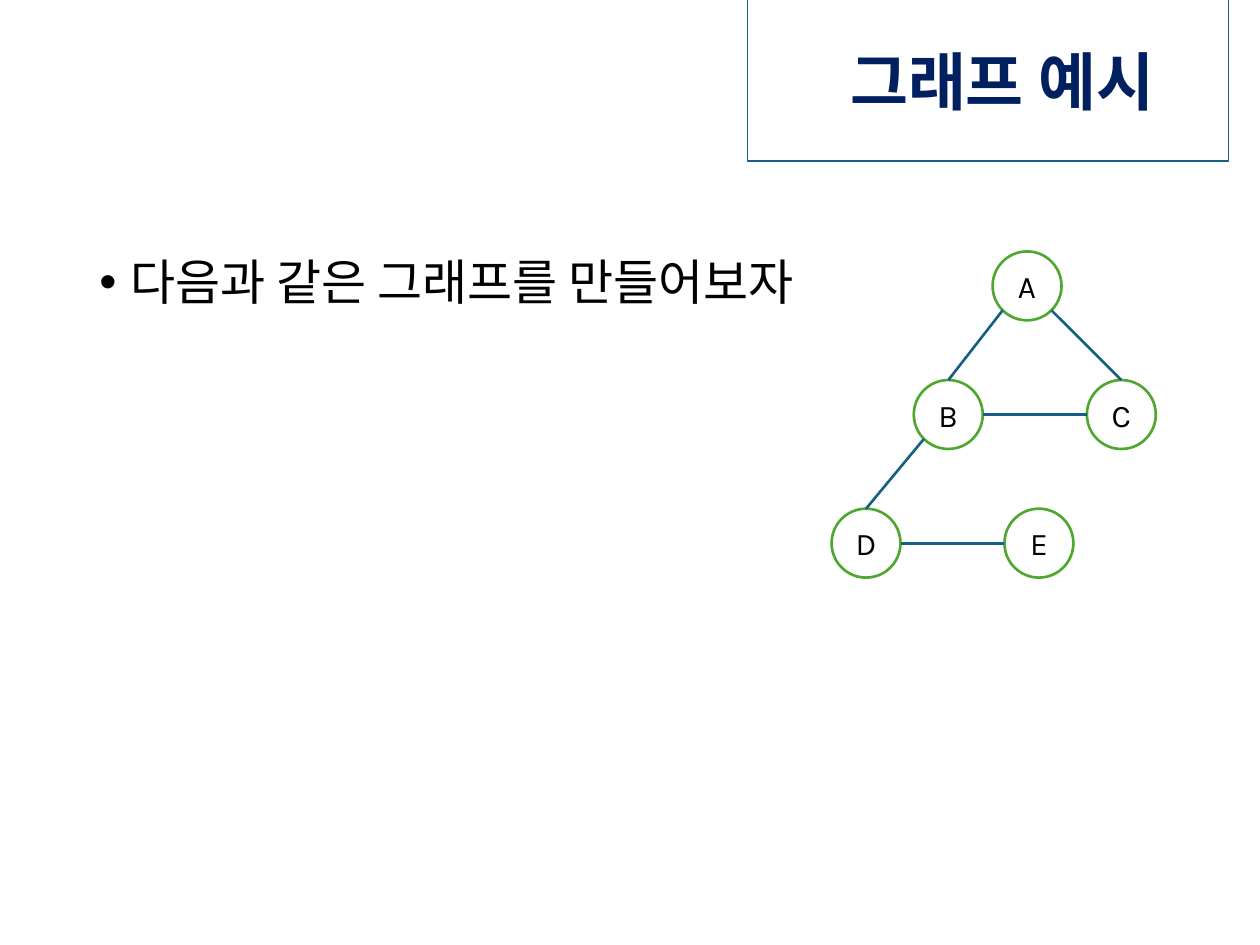
import dataclasses
import math

import pptx
import pptx.dml.color
import pptx.enum.shapes
import pptx.enum.text
import pptx.util
import pptx.oxml.ns
from lxml import etree

Pt = pptx.util.Pt
RGB = pptx.dml.color.RGBColor
Align = pptx.enum.text.PP_ALIGN
Anchor = pptx.enum.text.MSO_ANCHOR


@dataclasses.dataclass(frozen=True)
class Theme:
    font: str = "Karla"
    navy: str = "002060"
    teal: str = "156082"
    green: str = "4EA72E"
    black: str = "000000"
    white: str = "FFFFFF"
    title: float = 36
    body: float = 28
    label: float = 18
    thin: float = 0.75
    thick: float = 1.5


@dataclasses.dataclass(frozen=True)
class Node:
    name: str
    x: float
    y: float

    def rim(self, angle: float) -> tuple[float, float]:
        """Point on the circle, in degrees clockwise from the right."""
        turn = math.radians(angle)
        half = SIZE / 2
        return (self.x + half * (1 + math.cos(turn)),
                self.y + half * (1 + math.sin(turn)))


@dataclasses.dataclass(frozen=True)
class Edge:
    start: str
    out: float
    end: str
    into: float


THEME = Theme()
SIZE = 39.4
TOP, STEP = 143.7, 73.5
RIGHT, DOWN_RIGHT, DOWN_LEFT, LEFT, UP = 0, 45, 135, 180, 270

NODES = [
    Node("A", 567.2, TOP),
    Node("B", 522.2, TOP + STEP),
    Node("C", 621.1, TOP + STEP),
    Node("D", 475.2, TOP + 2 * STEP),
    Node("E", 574, TOP + 2 * STEP),
]
EDGES = [
    Edge("A", DOWN_LEFT, "B", UP),
    Edge("A", DOWN_RIGHT, "C", UP),
    Edge("B", DOWN_LEFT, "D", UP),
    Edge("D", RIGHT, "E", LEFT),
    Edge("B", RIGHT, "C", LEFT),
]


def paint(line, color: str, width: float) -> None:
    line.color.rgb = RGB.from_string(color)
    line.width = Pt(width)


def style(part, size: float, color: str, bold: bool = False) -> None:
    for run in part.runs:
        run.font.name = THEME.font
        run.font.size = Pt(size)
        run.font.bold = bold
        run.font.color.rgb = RGB.from_string(color)


def place(shape, left: float, top: float, width: float, height: float) -> None:
    shape.left, shape.top = Pt(left), Pt(top)
    shape.width, shape.height = Pt(width), Pt(height)


def add_title(slide, text: str) -> None:
    title = slide.shapes.title
    place(title, 427, -2.9, 275, 95)
    paint(title.line, THEME.teal, THEME.thin)
    frame = title.text_frame
    frame.text = text
    frame.word_wrap = False
    frame.auto_size = pptx.enum.text.MSO_AUTO_SIZE.NONE
    frame.vertical_anchor = Anchor.MIDDLE
    frame.margin_left = frame.margin_right = Pt(42.5)
    frame.margin_top, frame.margin_bottom = Pt(8.5), Pt(0)
    part = frame.paragraphs[0]
    part.alignment = Align.RIGHT
    part.line_spacing = 0.9
    style(part, THEME.title, THEME.navy, bold=True)


def add_bullet(slide, text: str) -> None:
    box = slide.shapes.add_textbox(Pt(49.7), Pt(144), Pt(670), Pt(342.7))
    frame = box.text_frame
    frame.text = text
    frame.word_wrap = True
    part = frame.paragraphs[0]
    part.line_spacing = 0.9
    props = part._p.get_or_add_pPr()
    props.set("marL", str(Pt(18)))
    props.set("indent", str(Pt(-18)))
    qn = pptx.oxml.ns.qn
    etree.SubElement(props, qn("a:buFont")).set("typeface", "Arial")
    etree.SubElement(props, qn("a:buChar")).set("char", "•")
    style(part, THEME.body, THEME.black)


def add_node(slide, node: Node) -> None:
    oval = slide.shapes.add_shape(
        pptx.enum.shapes.MSO_SHAPE.OVAL,
        Pt(node.x), Pt(node.y), Pt(SIZE), Pt(SIZE))
    oval.shadow.inherit = False
    oval.fill.solid()
    oval.fill.fore_color.rgb = RGB.from_string(THEME.white)
    paint(oval.line, THEME.green, THEME.thick)
    frame = oval.text_frame
    frame.text = node.name
    frame.vertical_anchor = Anchor.MIDDLE
    part = frame.paragraphs[0]
    part.alignment = Align.CENTER
    style(part, THEME.label, THEME.black)


def add_edge(slide, edge: Edge, nodes: dict[str, Node]) -> None:
    ends = (*nodes[edge.start].rim(edge.out), *nodes[edge.end].rim(edge.into))
    line = slide.shapes.add_connector(
        pptx.enum.shapes.MSO_CONNECTOR.STRAIGHT, *map(Pt, ends))
    paint(line.line, THEME.teal, THEME.thick)
    etree.SubElement(line._element.spPr, pptx.oxml.ns.qn("a:effectLst"))


def main() -> None:
    deck = pptx.Presentation()
    deck.slide_width, deck.slide_height = Pt(720), Pt(540)
    slide = deck.slides.add_slide(deck.slide_layouts[5])
    add_title(slide, "그래프 예시")
    add_bullet(slide, "다음과 같은 그래프를 만들어보자")
    for node in NODES:
        add_node(slide, node)
    nodes = {node.name: node for node in NODES}
    for edge in EDGES:
        add_edge(slide, edge, nodes)
    deck.save("out.pptx")


if __name__ == "__main__":
    main()
